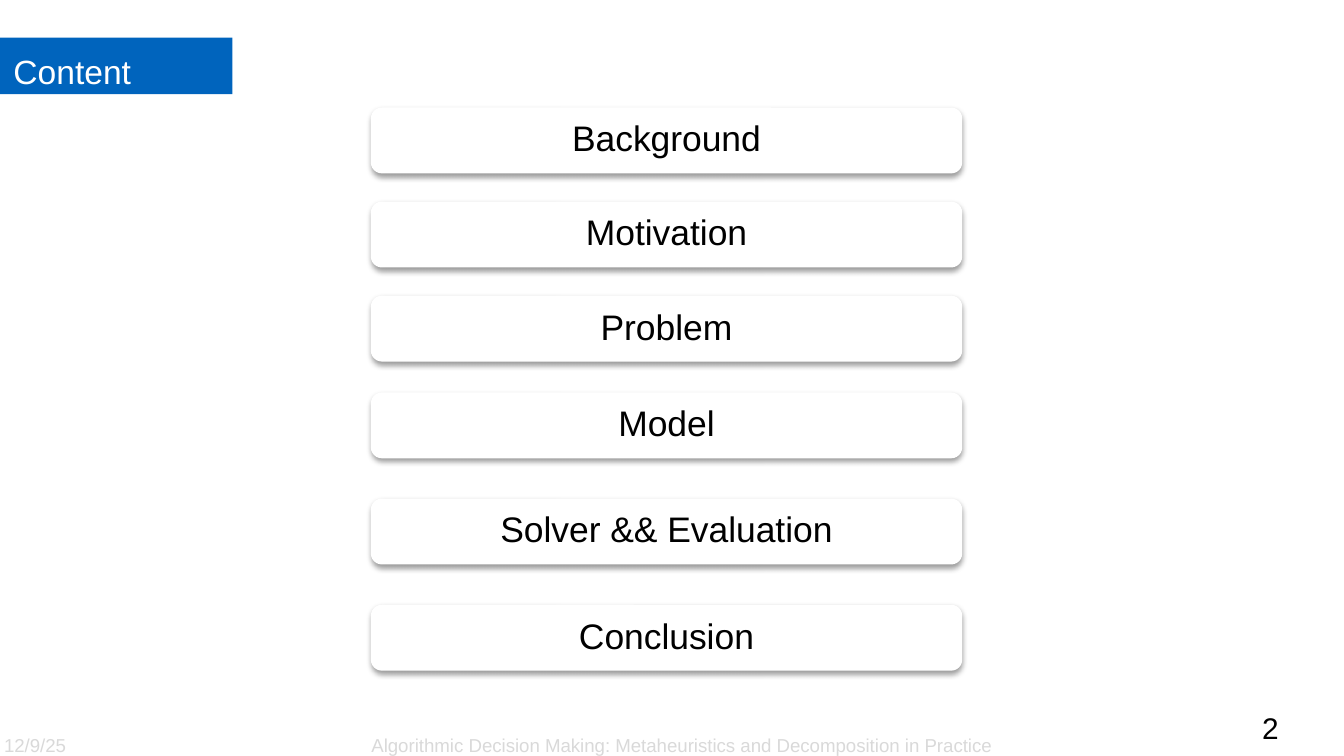
from lxml import etree
from pptx import Presentation
from pptx.dml.color import RGBColor
from pptx.enum import shapes, text
from pptx.oxml import ns
from pptx.util import Inches, Pt

COLORS = {"blue": "0064BD", "white": "FFFFFF", "black": "000000", "grey": "D9D9D9"}
FONT = "Arial"
TOPICS = [
    ("Background", 0.8),
    ("Motivation", 1.5),
    ("Problem", 2.2),
    ("Model", 2.92),
    ("Solver && Evaluation", 3.71),
    ("Conclusion", 4.5),
]


def rgb(name):
    return RGBColor.from_string(COLORS[name])


def fill_solid(sp, color):
    sp.fill.solid()
    sp.fill.fore_color.rgb = rgb(color)
    sp.line.fill.background()


def set_text(sp, words, size, color, align=text.PP_ALIGN.LEFT, spacing=1.0,
             anchor=text.MSO_ANCHOR.TOP, margins=(0, 0, 0, 0), wrap=True):
    tf = sp.text_frame
    tf.text = words
    tf.word_wrap = wrap
    tf.auto_size = text.MSO_AUTO_SIZE.NONE
    tf.vertical_anchor = anchor
    tf.margin_left, tf.margin_top, tf.margin_right, tf.margin_bottom = map(Inches, margins)
    p = tf.paragraphs[0]
    p.alignment = align
    p.line_spacing = spacing
    p.space_before = Pt(0)
    p.font.name = FONT
    p.font.size = Pt(size)
    p.font.color.rgb = rgb(color)


def add_shadow(sp):
    sp.shadow.inherit = False
    effects = sp._element.spPr.find(ns.qn("a:effectLst"))
    shadow = etree.SubElement(
        effects, ns.qn("a:outerShdw"), blurRad=str(Pt(3.1)), dist=str(Pt(1.6)),
        dir=str(90 * 60000), algn="ctr", rotWithShape="0")
    color = etree.SubElement(shadow, ns.qn("a:srgbClr"), val=COLORS["black"])
    etree.SubElement(color, ns.qn("a:alpha"), val="38000")


def add_title(slide, x, y, w, h):
    sp = slide.shapes.title
    sp.left, sp.top, sp.width, sp.height = map(Inches, (x, y, w, h))
    fill_solid(sp, "blue")
    set_text(sp, "Content", 18, "white", spacing=1.14,
             anchor=text.MSO_ANCHOR.BOTTOM, margins=(0.1, 0.05, 0.1, 0.02))


def add_topics(slide, x, w, h):
    for topic, y in TOPICS:
        sp = slide.shapes.add_shape(
            shapes.MSO_SHAPE.ROUNDED_RECTANGLE, *map(Inches, (x, y, w, h)))
        fill_solid(sp, "white")
        add_shadow(sp)
        set_text(sp, topic, 19, "black", text.PP_ALIGN.CENTER, 0.9,
                 text.MSO_ANCHOR.MIDDLE, (0.08, 0.08, 0.08, 0.08))


def add_footer(slide, x, y, w, h):
    def box(dx, dy, bw, bh):
        return slide.shapes.add_textbox(*map(Inches, (x + dx, y + dy, bw, bh)))

    set_text(box(0.03, 0.14, 0.89, 0.24), "12/9/25", 10, "grey", spacing=1.5)
    set_text(box(2.62, 0, 4.9, h),
             "Algorithmic Decision Making: Metaheuristics and Decomposition in Practice",
             10, "grey", text.PP_ALIGN.CENTER, anchor=text.MSO_ANCHOR.BOTTOM,
             margins=(0.1, 0, 0.1, 0))
    set_text(box(w - 0.61, 0, 0.12, 0.28), "2", 16, "black", spacing=1.14, wrap=False)


def main():
    prs = Presentation()
    prs.slide_width = Inches(10)
    prs.slide_height = prs.slide_width * 9 // 16
    slide = prs.slides.add_slide(prs.slide_layouts[5])
    add_title(slide, 0, 0.28, 1.73, 0.42)
    add_topics(slide, 2.76, 4.4, 0.49)
    add_footer(slide, 0, 5.24, 10, 0.39)
    prs.save("out.pptx")


if __name__ == "__main__":
    main()
